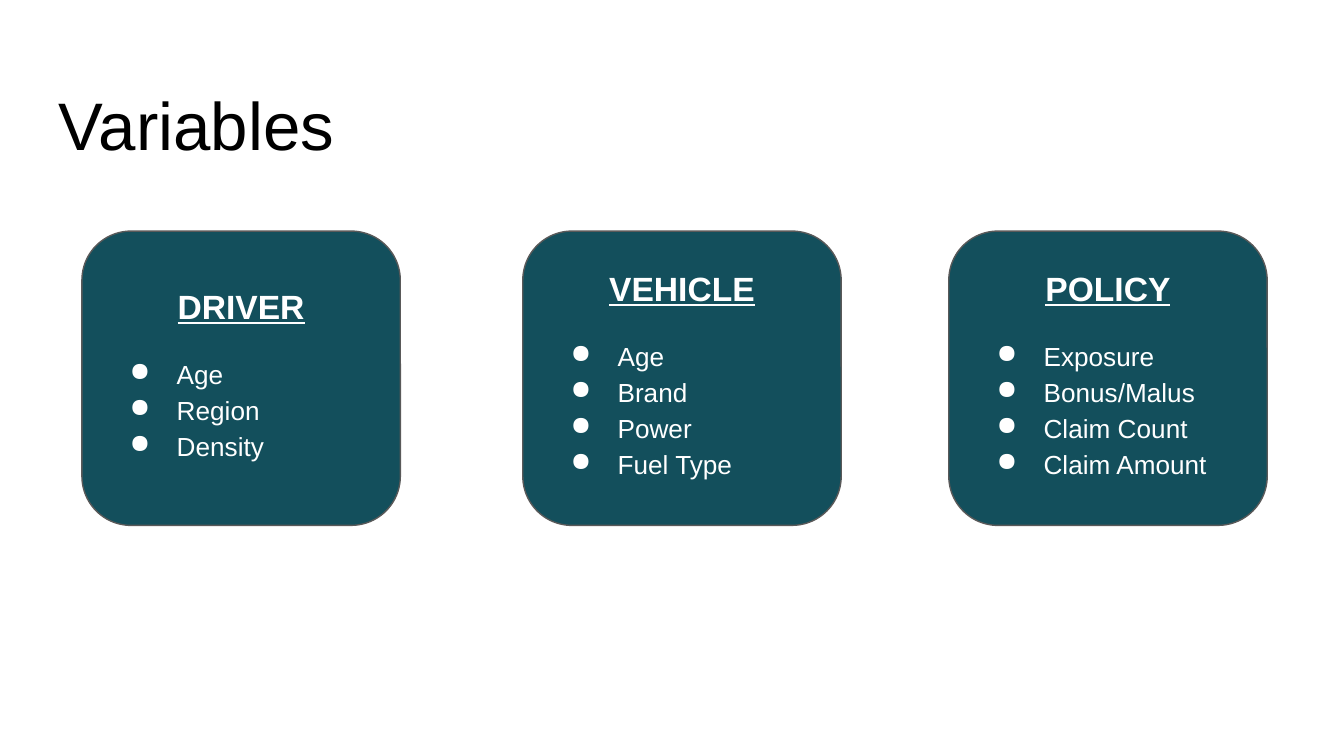
from lxml.etree import SubElement
from pptx import Presentation
from pptx.dml.color import RGBColor
from pptx.enum.shapes import MSO_SHAPE
from pptx.enum.text import MSO_ANCHOR, PP_ALIGN
from pptx.oxml.ns import qn
from pptx.util import Pt

WHITE, BLACK, TEAL, GRAY = "FFFFFF", "000000", "134F5C", "595959"
INSET = 7.2


def color(code):
    return RGBColor.from_string(code)


def write(frame, text, size=14, tint=WHITE, bold=False, line=False,
          align=PP_ALIGN.LEFT, space=1.0, after=0, bullet=None):
    """Add one paragraph, using the first one while it is still empty."""
    first = frame.paragraphs[0]
    para = frame.add_paragraph() if first.runs else first
    para.alignment = align
    para.line_spacing = space
    para.space_after = Pt(after)
    run = para.add_run()
    run.text = text
    font = run.font
    font.name, font.size = "Arial", Pt(size)
    font.bold, font.underline = bold, line
    font.color.rgb = color(tint)
    if bullet:
        props = para._p.get_or_add_pPr()
        props.set("marL", str(Pt(36)))
        props.set("indent", str(Pt(-25.2)))
        paint = SubElement(props, qn("a:buClr"))
        SubElement(paint, qn("a:srgbClr")).set("val", tint)
        SubElement(props, qn("a:buChar")).set("char", bullet)


class Deck:
    face, edge = TEAL, GRAY

    def __init__(self, wide, high):
        self.file = Presentation()
        self.file.slide_width, self.file.slide_height = Pt(wide), Pt(high)
        self.slide = self.file.slides.add_slide(self.file.slide_layouts[6])

    def frame(self, shape, base=INSET):
        frame = shape.text_frame
        frame.word_wrap = True
        frame.vertical_anchor = MSO_ANCHOR.MIDDLE
        frame.margin_left = frame.margin_right = frame.margin_top = Pt(INSET)
        frame.margin_bottom = Pt(base)
        return frame

    def title(self, text, *box):
        shape = self.slide.shapes.add_textbox(*map(Pt, box))
        write(self.frame(shape), text, size=36, tint=BLACK)

    def card(self, head, items, *box):
        shape = self.slide.shapes.add_shape(
            MSO_SHAPE.ROUNDED_RECTANGLE, *map(Pt, box))
        shape.adjustments[0] = 0.167
        shape.shadow.inherit = False
        shape.fill.solid()
        shape.fill.fore_color.rgb = color(self.face)
        shape.line.color.rgb = color(self.edge)
        shape.line.width = Pt(0.75)
        # A deeper bottom inset lifts the text above the middle
        frame = self.frame(shape, base=15.4)
        write(frame, head, size=18, bold=True, line=True,
              align=PP_ALIGN.CENTER, space=1.15, after=14.5)
        for item in items:
            write(frame, item, space=1.15, bullet="●")


def main():
    deck = Deck(720, 405)

    # Title
    deck.title("Variables", 24.5, 33.1, 671, 66.2)

    # Groups of variables
    cards = [
        (43.9, "DRIVER", ["Age", "Region", "Density"]),
        (280.1, "VEHICLE", ["Age", "Brand", "Power", "Fuel Type"]),
        (508.3, "POLICY",
         ["Exposure", "Bonus/Malus", "Claim Count", "Claim Amount"]),
    ]
    for left, head, items in cards:
        deck.card(head, items, left, 123.8, 170.6, 157.7)

    deck.file.save("out.pptx")


if __name__ == "__main__":
    main()
